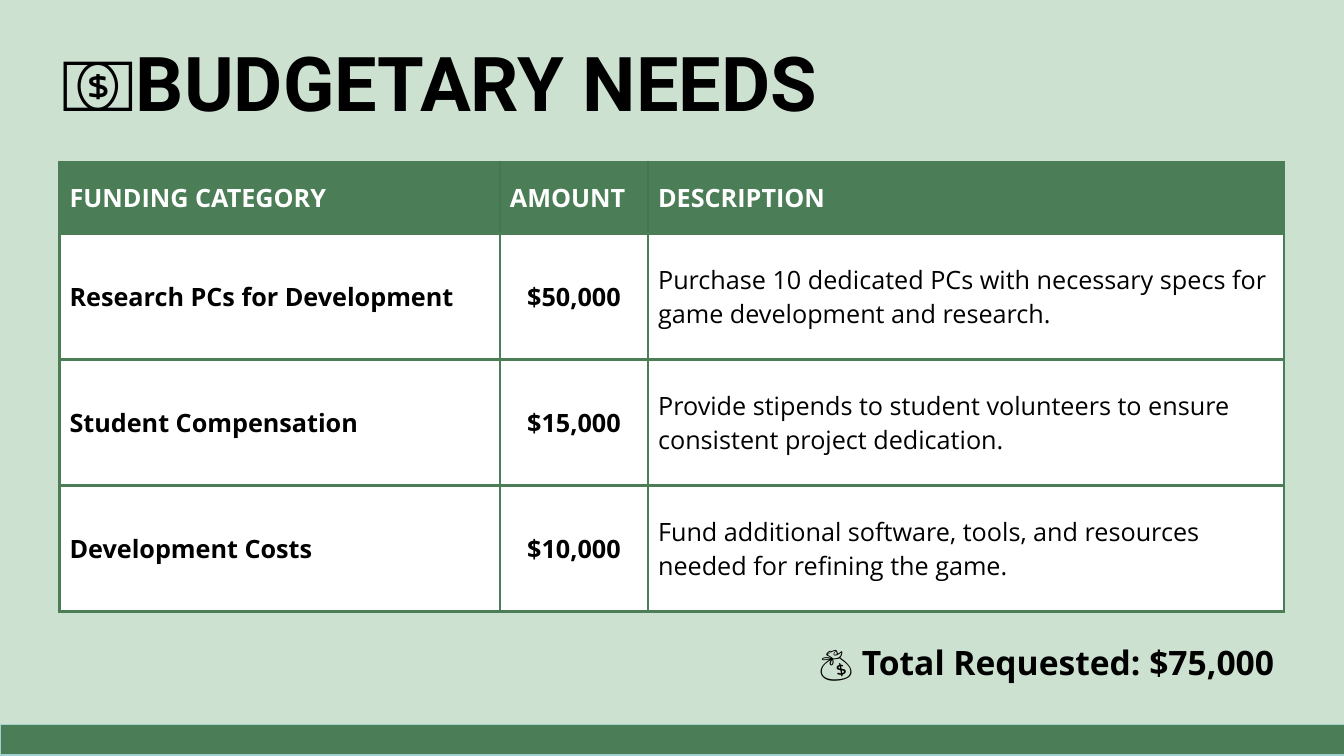
from dataclasses import dataclass
from typing import Any

from lxml import etree
from pptx import Presentation
from pptx.dml.color import RGBColor
from pptx.enum import shapes, text
from pptx.oxml import ns
from pptx.util import Pt

LEFT, MID, RIGHT = text.PP_ALIGN.LEFT, text.PP_ALIGN.CENTER, text.PP_ALIGN.RIGHT


@dataclass(frozen=True)
class Theme:
    back: str = "CDE1D1"
    green: str = "4B7D56"
    split: str = "46764F"
    edge: str = "9FD1D0"
    ink: str = "000000"
    white: str = "FFFFFF"
    head: str = "Roboto"
    body: str = "Open Sans"
    big: float = 54
    total: float = 24
    cell: float = 18
    rule: float = 2.25


@dataclass(frozen=True)
class Run:
    words: str
    size: float
    bold: bool = True
    ink: str = Theme.ink
    face: str = Theme.body


@dataclass(frozen=True)
class Label:
    box: tuple[float, float, float, float]
    runs: tuple[Run, ...]
    anchor: Any
    para: dict[str, Any]


@dataclass(frozen=True)
class Fund:
    name: str
    cost: str
    about: str


T = Theme()
FUNDS = (
    Fund("Research PCs for Development", "$50,000",
         "Purchase 10 dedicated PCs with necessary specs for game development and research."),
    Fund("Student Compensation", "$15,000",
         "Provide stipends to student volunteers to ensure consistent project dedication."),
    Fund("Development Costs", "$10,000",
         "Fund additional software, tools, and resources needed for refining the game."),
)
HEADS = ("FUNDING CATEGORY", "AMOUNT", "DESCRIPTION")
COLS = (314.6, 105.8, 454.3)
ROWS = (51.1,) + (90,) * len(FUNDS)
LABELS = (
    Label((36, 447.8, 881.3, 58.3),
          (Run("💰 ", T.total, False), Run("Total Requested: $75,000", T.total)),
          text.MSO_ANCHOR.TOP,
          {"alignment": RIGHT, "line_spacing": 1.25, "space_after": Pt(24)}),
    Label((36, 5.8, 853.2, 89.3),
          (Run("💵BUDGETARY NEEDS", T.big, face=T.head),),
          text.MSO_ANCHOR.BOTTOM, {"line_spacing": 0.9}),
)


def apply(thing: Any, values: dict[str, Any]) -> None:
    for key, value in values.items():
        setattr(thing, key, value)


def paint(fill: Any, tint: str) -> None:
    fill.solid()
    fill.fore_color.rgb = RGBColor.from_string(tint)


def write(para: Any, run: Run) -> None:
    part = para.add_run()
    part.text = run.words
    apply(part.font, {"size": Pt(run.size), "bold": run.bold, "name": run.face})
    part.font.color.rgb = RGBColor.from_string(run.ink)


def border(cell: Any, tints: dict[str, str]) -> None:
    """Put the side lines ahead of the cell fill."""
    props = cell._tc.get_or_add_tcPr()
    for spot, (side, tint) in enumerate(tints.items()):
        line = etree.Element(ns.qn(f"a:ln{side}"), w=str(int(Pt(T.rule))))
        fill = etree.SubElement(line, ns.qn("a:solidFill"))
        etree.SubElement(fill, ns.qn("a:srgbClr"), val=tint)
        props.insert(spot, line)


def add_bar(slide: Any) -> None:
    bar = slide.shapes.add_shape(shapes.MSO_SHAPE.RECTANGLE,
                                 Pt(0), Pt(517.7), Pt(961), Pt(21.6))
    bar.shadow.inherit = False
    paint(bar.fill, T.green)
    paint(bar.line.fill, T.edge)
    bar.line.width = Pt(1)


def add_label(slide: Any, label: Label) -> None:
    frame = slide.shapes.add_textbox(*map(Pt, label.box)).text_frame
    apply(frame, {"word_wrap": True, "vertical_anchor": label.anchor})
    para = frame.paragraphs[0]
    apply(para, label.para)
    for run in label.runs:
        write(para, run)


def add_grid(slide: Any) -> None:
    grid = slide.shapes.add_table(len(ROWS), len(COLS), Pt(42.5), Pt(115.9),
                                  Pt(sum(COLS)), Pt(sum(ROWS))).table
    apply(grid, {"first_row": False, "horz_banding": False})
    for col, width in zip(grid.columns, COLS):
        col.width = Pt(width)
    for row, height in zip(grid.rows, ROWS):
        row.height = Pt(height)

    lines = (HEADS,) + tuple((f.name, f.cost, f.about) for f in FUNDS)
    last = len(COLS) - 1
    for r, line in enumerate(lines):
        top = r == 0
        for c, words in enumerate(line):
            cell = grid.cell(r, c)
            cell.vertical_anchor = text.MSO_ANCHOR.MIDDLE
            paint(cell.fill, T.green if top else T.white)
            inner = T.split if top else T.green
            border(cell, {"L": inner if c > 0 else T.green,
                          "R": inner if c < last else T.green,
                          "T": T.green, "B": T.green})
            para = cell.text_frame.paragraphs[0]
            para.alignment = MID if c == 1 and not top else LEFT
            write(para, Run(words, T.cell, top or c < last,
                            T.white if top else T.ink))


def main() -> None:
    deck = Presentation()
    apply(deck, {"slide_width": Pt(960), "slide_height": Pt(540)})
    slide = deck.slides.add_slide(deck.slide_layouts[6])
    paint(slide.background.fill, T.back)

    # Footer bar
    add_bar(slide)
    # Total and title
    for label in LABELS:
        add_label(slide, label)
    # Budget table
    add_grid(slide)

    deck.save("out.pptx")


if __name__ == "__main__":
    main()
